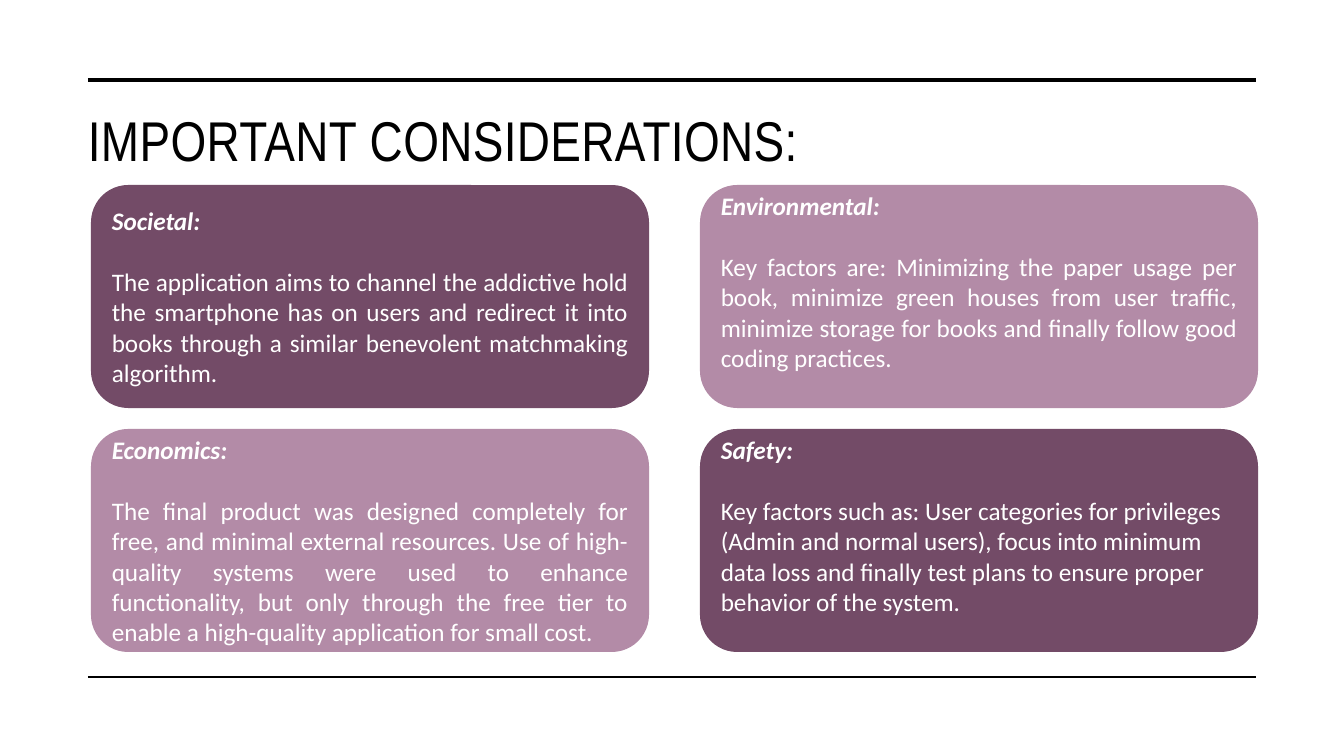
from lxml import etree
from pptx import Presentation
from pptx.dml.color import RGBColor
from pptx.enum.shapes import MSO_CONNECTOR, MSO_SHAPE
from pptx.enum.text import MSO_ANCHOR, PP_ALIGN
from pptx.oxml.ns import qn
from pptx.util import Emu, Pt

ROUND = MSO_SHAPE.ROUNDED_RECTANGLE
LINE = MSO_CONNECTOR.STRAIGHT
MIDDLE = MSO_ANCHOR.MIDDLE
LEFT, JUST = PP_ALIGN.LEFT, PP_ALIGN.JUSTIFY

TITLE = "IMPORTANT CONSIDERATIONS:"
DARK, LIGHT, BLACK, WHITE = "734B67", "B38BA7", "000000", "FFFFFF"
CARDS = [
    ("Societal:", "The application aims to channel the addictive hold the smartphone has on users and redirect it into books through a similar benevolent matchmaking algorithm.", DARK, JUST, 0),
    ("Environmental:", "Key factors are: Minimizing the paper usage per book, minimize green houses from user traffic, minimize storage for books and finally follow good coding practices.", LIGHT, JUST, 30),
    ("Economics:", "The final product was designed completely for free, and minimal external resources. Use of high-quality systems were used to enhance functionality, but only through the free tier to enable a high-quality application for small cost.", LIGHT, JUST, 0),
    ("Safety:", "Key factors such as: User categories for privileges (Admin and normal users), focus into minimum data loss and finally test plans to ensure proper behavior of the system.", DARK, LEFT, 30),
]
RULES = [(80, 3.5), (677, 1)]
RULE_X = (88, 1256)
GRID_X, GRID_Y = 91, 185
CARD_W, CARD_H = 558, 223
STEP_X, STEP_Y = 609, 244
PAD = 5


def px(n):
    return Emu(round(n * 914400 / 100.8))


def color(code):
    return RGBColor.from_string(code)


def style(para, face, size, code, bold=False):
    font = para.runs[0].font
    font.name, font.size = face, Pt(size)
    font.bold = font.italic = bold
    font.color.rgb = color(code)


def add_rule(slide, y, width):
    rule = slide.shapes.add_connector(LINE, px(RULE_X[0]), px(y), px(RULE_X[1]), px(y))
    rule.line.color.rgb = color(BLACK)
    rule.line.width = Pt(width)
    etree.SubElement(rule._element.spPr, qn("a:effectLst"))


def add_title(slide):
    box = slide.shapes.add_textbox(px(78), px(101), px(1178), px(144))
    frame = box.text_frame
    frame.word_wrap = True
    frame.text = TITLE
    para = frame.paragraphs[0]
    style(para, "Arial Narrow", 40, BLACK)
    para.runs[0].font._element.set("spc", "30")


def add_card(slide, index, card):
    head, body, fill, align, lift = card
    row, col = divmod(index, 2)
    shape = slide.shapes.add_shape(
        ROUND, px(GRID_X + col * STEP_X), px(GRID_Y + row * STEP_Y), px(CARD_W), px(CARD_H))
    shape.shadow.inherit = False
    shape.fill.solid()
    shape.fill.fore_color.rgb = color(fill)
    shape.line.fill.background()
    frame = shape.text_frame
    frame.word_wrap = True
    frame.vertical_anchor = MIDDLE
    frame.margin_top, frame.margin_bottom = px(PAD), px(PAD + lift)
    frame.text = head + "\n" + body
    first, last = frame.paragraphs
    first.alignment, last.alignment = LEFT, align
    first.space_after = Pt(22)
    style(first, "Calibri", 18, WHITE, True)
    style(last, "Calibri", 18, WHITE)


def main():
    deck = Presentation()
    deck.slide_width, deck.slide_height = px(1344), px(756)
    slide = deck.slides.add_slide(deck.slide_layouts[6])
    for y, width in RULES:
        add_rule(slide, y, width)
    add_title(slide)
    for index, card in enumerate(CARDS):
        add_card(slide, index, card)
    deck.save("out.pptx")


if __name__ == "__main__":
    main()
